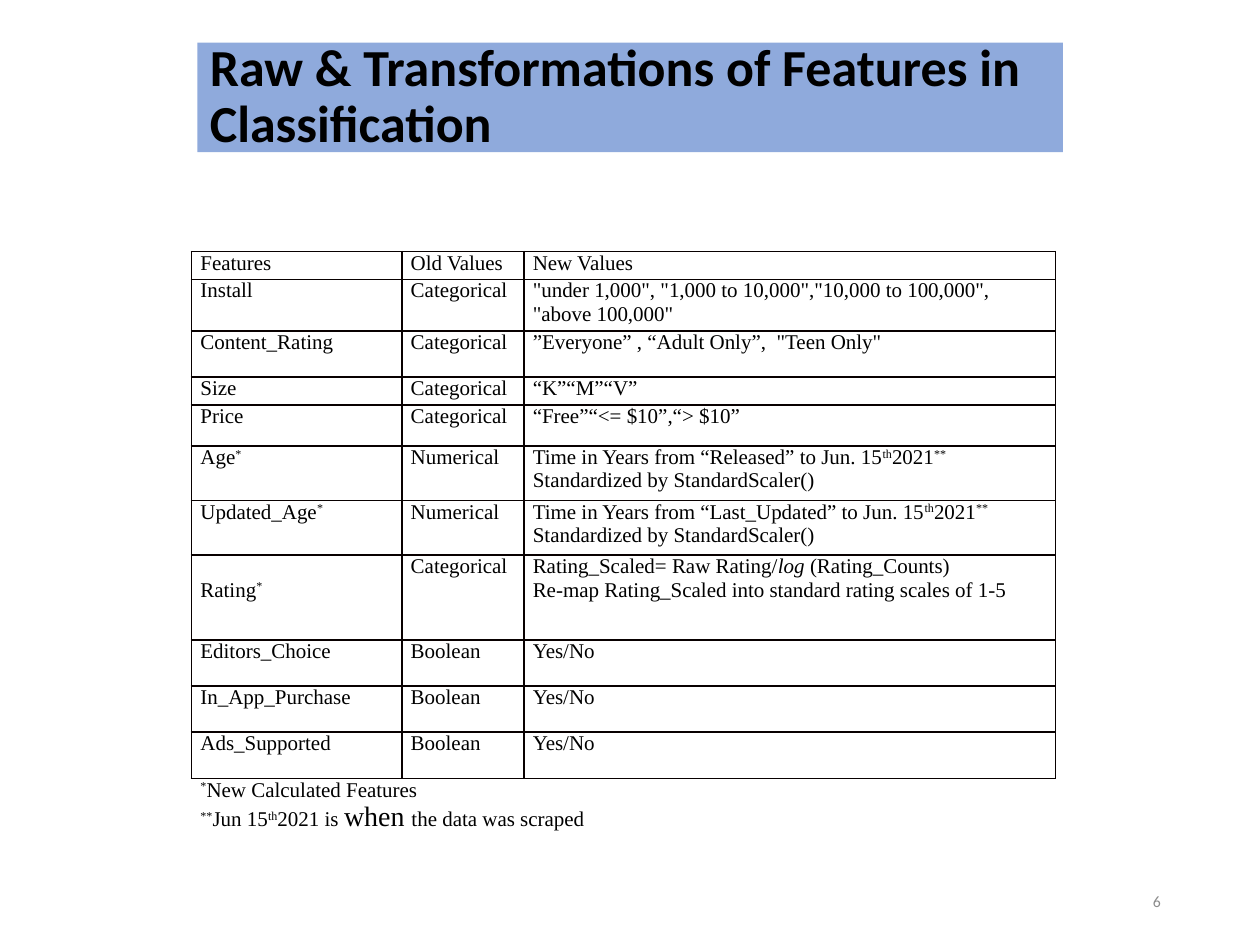
from dataclasses import dataclass

from lxml import etree
from pptx import Presentation
from pptx.dml.color import RGBColor
from pptx.enum.shapes import MSO_SHAPE
from pptx.enum.text import MSO_ANCHOR, PP_ALIGN
from pptx.oxml.ns import qn
from pptx.util import Cm, Pt

RECTANGLE = MSO_SHAPE.RECTANGLE
MIDDLE = MSO_ANCHOR.MIDDLE
LEFT, RIGHT = PP_ALIGN.LEFT, PP_ALIGN.RIGHT
BLANK_LAYOUT = 6


@dataclass(frozen=True)
class Theme:
    heading_font: str = "Calibri"
    body_font: str = "Times New Roman"
    banner: str = "8FAADC"
    text: str = "000000"
    muted: str = "8C8C8C"
    border: str = "080000"
    title_size: float = 29.7
    body_size: float = 12
    emphasis_size: float = 16
    number_size: float = 9
    border_width: float = 1


THEME = Theme()


# Run markers: a plain string is a normal run, a pair adds a style
def raised(text):
    return text, {"raised": True}


def italic(text):
    return text, {"italic": True}


def large(text):
    return text, {"size": THEME.emphasis_size}


# Table content: a cell is a string or a list of paragraphs, each a list of runs
def age_values(source):
    return [
        [f"Time in Years from “{source}” to Jun. 15", raised("th"), "2021", raised("**")],
        ["Standardized by StandardScaler()"],
    ]


COLUMN_WIDTHS = [4.24, 2.46, 10.72]
ROWS = [
    (0.56, "Features", "Old Values", "New Values"),
    (1.04, "Install", "Categorical",
     '"under 1,000", "1,000 to 10,000","10,000 to 100,000", "above 100,000"'),
    (0.93, "Content_Rating", "Categorical", '”Everyone” , “Adult Only”,  "Teen Only"'),
    (0.56, "Size", "Categorical", "“K”“M”“V”"),
    (0.83, "Price", "Categorical", "“Free”“<= $10”,“> $10”"),
    (1.1, [["Age", raised("*")]], "Numerical", age_values("Released")),
    (1.1, [["Updated_Age", raised("*")]], "Numerical", age_values("Last_Updated")),
    (1.71, [["Rating", raised("*")]], "Categorical", [
        ["Rating_Scaled= Raw Rating/", italic("log "), "(Rating_Counts)"],
        ["Re-map Rating_Scaled into standard rating scales of 1-5"],
    ]),
    (0.93, "Editors_Choice", "Boolean", "Yes/No"),
    (0.93, "In_App_Purchase", "Boolean", "Yes/No"),
    (0.93, "Ads_Supported", "Boolean", "Yes/No"),
]
RATING_ROW = 7
RATING_OFFSET = 0.47
NOTES_HEIGHT = 1.12
NOTES = [
    [raised("*"), "New Calculated Features"],
    [raised("**"), "Jun 15", raised("th"), "2021 is ", large("when "), "the data was scraped"],
]


class SlideBuilder:
    def __init__(self, slide, theme):
        self.slide = slide
        self.theme = theme

    def add_text(self, frame, content, size, font, color, bold=False, align=LEFT, spacing=None):
        paragraphs = [[content]] if isinstance(content, str) else content
        for index, runs in enumerate(paragraphs):
            paragraph = frame.add_paragraph() if index else frame.paragraphs[0]
            paragraph.alignment = align
            if spacing:
                paragraph.line_spacing = spacing
            for item in runs:
                text, style = (item, {}) if isinstance(item, str) else item
                run = paragraph.add_run()
                run.text = text
                run.font.name = font
                run.font.size = Pt(style.get("size", size))
                run.font.bold = bold
                run.font.italic = style.get("italic", False)
                run.font.color.rgb = RGBColor.from_string(color)
                if style.get("raised"):
                    run._r.get_or_add_rPr().set("baseline", "30000")

    def banner(self, left, top, width, height, text):
        shape = self.slide.shapes.add_shape(
            RECTANGLE, Cm(left), Cm(top), Cm(width), Cm(height))
        shape.shadow.inherit = False
        shape.fill.solid()
        shape.fill.fore_color.rgb = RGBColor.from_string(self.theme.banner)
        shape.line.fill.background()
        frame = shape.text_frame
        frame.word_wrap = True
        frame.vertical_anchor = MIDDLE
        frame.margin_top = frame.margin_bottom = 0
        self.add_text(frame, text, self.theme.title_size, self.theme.heading_font,
                      self.theme.text, bold=True, spacing=0.9)

    def page_number(self, left, top, width, height, text):
        box = self.slide.shapes.add_textbox(Cm(left), Cm(top), Cm(width), Cm(height))
        frame = box.text_frame
        frame.word_wrap = True
        frame.vertical_anchor = MIDDLE
        self.add_text(frame, text, self.theme.number_size, self.theme.heading_font,
                      self.theme.muted, align=RIGHT)

    def borders(self, cell, visible):
        properties = cell._tc.get_or_add_tcPr()
        for side in ("L", "R", "T", "B"):
            line = etree.SubElement(properties, qn(f"a:ln{side}"))
            line.set("w", str(Pt(self.theme.border_width)))
            if side in visible:
                fill = etree.SubElement(line, qn("a:solidFill"))
                etree.SubElement(fill, qn("a:srgbClr")).set("val", self.theme.border)
            else:
                etree.SubElement(line, qn("a:noFill"))

    def cell(self, cell, content, visible="LRTB", margin_top=0):
        self.borders(cell, visible)
        cell.fill.background()
        cell.margin_left = cell.margin_right = Cm(0.18)
        cell.margin_top, cell.margin_bottom = Cm(margin_top), 0
        self.add_text(cell.text_frame, content, self.theme.body_size,
                      self.theme.body_font, self.theme.text)

    def feature_table(self, left, top):
        heights = [row[0] for row in ROWS] + [NOTES_HEIGHT]
        table = self.slide.shapes.add_table(
            len(heights), len(COLUMN_WIDTHS), Cm(left), Cm(top),
            Cm(sum(COLUMN_WIDTHS)), Cm(sum(heights))).table
        table.first_row = table.horz_banding = False
        for column, width in zip(table.columns, COLUMN_WIDTHS):
            column.width = Cm(width)
        for row, height in zip(table.rows, heights):
            row.height = Cm(height)

        for row_index, (_, *contents) in enumerate(ROWS):
            for column_index, content in enumerate(contents):
                lowered = row_index == RATING_ROW and column_index == 0
                self.cell(table.cell(row_index, column_index), content,
                          margin_top=RATING_OFFSET if lowered else 0)

        # Notes run across the last row, with a line above only
        last = len(ROWS)
        table.cell(last, 0).merge(table.cell(last, len(COLUMN_WIDTHS) - 1))
        for column_index in range(len(COLUMN_WIDTHS)):
            self.cell(table.cell(last, column_index),
                      [] if column_index else NOTES, visible="T")


def main():
    presentation = Presentation()
    presentation.slide_width, presentation.slide_height = Cm(25.4), Cm(19.05)
    slide = presentation.slides.add_slide(presentation.slide_layouts[BLANK_LAYOUT])
    builder = SlideBuilder(slide, THEME)

    # Title, page number and table
    builder.banner(3.98, 0.86, 17.45, 2.21,
                   "Raw & Transformations of Features in Classification")
    builder.page_number(17.93, 17.65, 5.72, 1.02, "6")
    builder.feature_table(3.86, 5.07)

    presentation.save("out.pptx")


if __name__ == "__main__":
    main()
